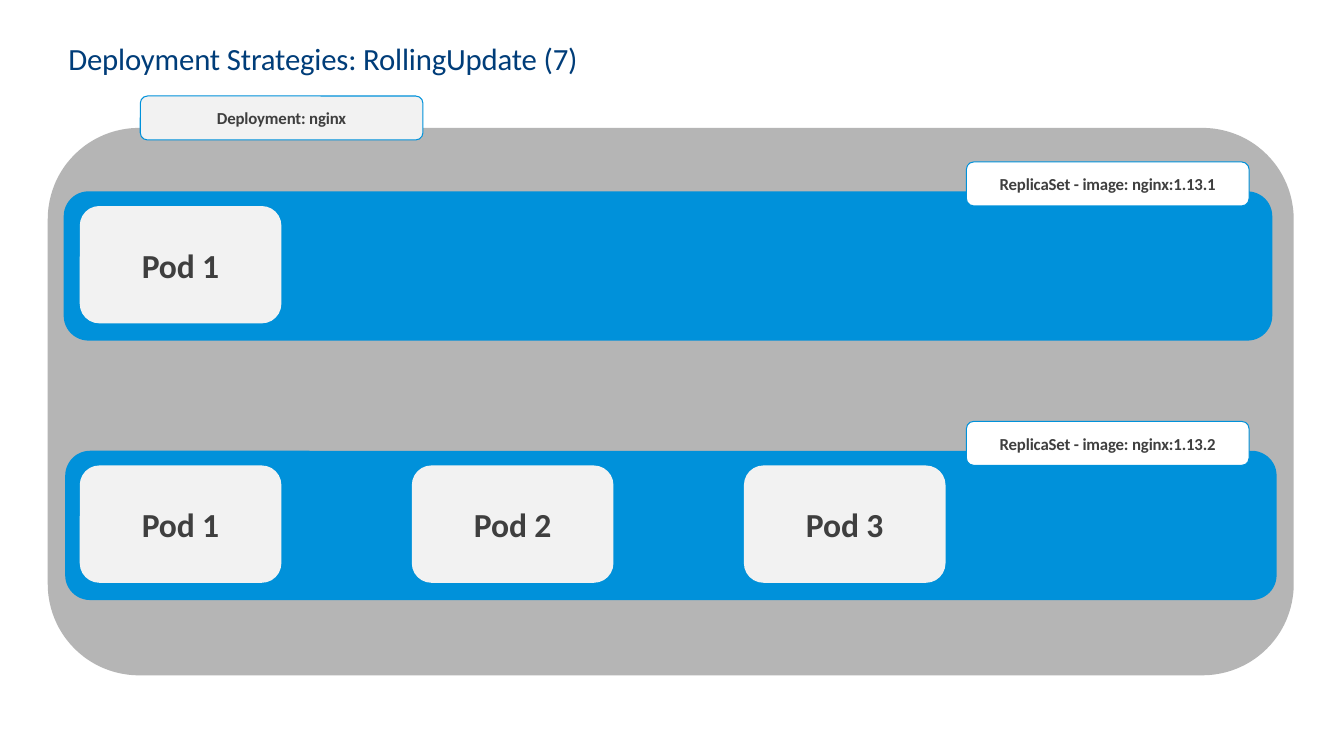
import pptx
import pptx.dml.color
import pptx.enum.shapes
import pptx.enum.text
import pptx.util
from dataclasses import dataclass

Pt = pptx.util.Pt
RGB = pptx.dml.color.RGBColor.from_string


@dataclass(frozen=True)
class Theme:
    font: str = "Calibri"
    navy: str = "003D79"
    blue: str = "0091DA"
    grey: str = "B5B5B5"
    light: str = "F2F2F2"
    white: str = "FFFFFF"
    ink: str = "3F3F3F"
    title_size: float = 22
    pod_size: float = 24
    badge_size: float = 12
    border: float = 0.75


class Deck:
    def __init__(self, prs, theme):
        self.theme = theme
        self.s = prs.slides.add_slide(prs.slide_layouts[5])

    def set_text(self, sp, text, size, color, align, bold=False):
        tf = sp.text_frame
        tf.text = text
        tf.word_wrap = True
        tf.auto_size = pptx.enum.text.MSO_AUTO_SIZE.NONE
        tf.vertical_anchor = pptx.enum.text.MSO_ANCHOR.MIDDLE
        tf.margin_left = tf.margin_top = tf.margin_right = tf.margin_bottom = 0
        p = tf.paragraphs[0]
        p.alignment = align
        r = p.runs[0]
        r.font.name, r.font.size, r.font.bold = self.theme.font, Pt(size), bold
        r.font.color.rgb = RGB(color)
        r._r.get_or_add_rPr().set("spc", "-10")  # slightly tightened letters

    def title(self, text, x, y, w, h):
        sp = self.s.shapes.title
        sp.left, sp.top, sp.width, sp.height = Pt(x), Pt(y), Pt(w), Pt(h)
        self.set_text(sp, text, self.theme.title_size, self.theme.navy,
                      pptx.enum.text.PP_ALIGN.LEFT)

    def panel(self, x, y, w, h, fill, line=None):
        sp = self.s.shapes.add_shape(
            pptx.enum.shapes.MSO_SHAPE.ROUNDED_RECTANGLE, Pt(x), Pt(y), Pt(w), Pt(h))
        sp.shadow.inherit = False
        sp.fill.solid()
        sp.fill.fore_color.rgb = RGB(fill)
        if line:
            sp.line.color.rgb = RGB(line)
            sp.line.width = Pt(self.theme.border)
        else:
            sp.line.fill.background()
        return sp

    def badge(self, text, x, y, fill):
        sp = self.panel(x, y, 201.9, 31.4, fill, self.theme.blue)
        self.set_text(sp, text, self.theme.badge_size, self.theme.ink,
                      pptx.enum.text.PP_ALIGN.CENTER, bold=True)

    def pod(self, number, x, y):
        sp = self.panel(x, y, 144, 83.8, self.theme.light)
        self.set_text(sp, f"Pod {number}", self.theme.pod_size, self.theme.ink,
                      pptx.enum.text.PP_ALIGN.CENTER, bold=True)

    def replica_set(self, version, x, y, w, pod_count):
        self.panel(x, y, w, 106.6, self.theme.blue)
        self.badge(f"ReplicaSet - image: nginx:{version}", 690.3, y - 21, self.theme.white)
        for i in range(pod_count):
            self.pod(i + 1, 57 + 237.2 * i, y + 10.5)


def main():
    prs = pptx.Presentation()
    prs.slide_width, prs.slide_height = Pt(960), Pt(540)
    theme = Theme()
    deck = Deck(prs, theme)

    # Title
    deck.title("Deployment Strategies: RollingUpdate (7)", 48.8, 28, 864, 27.4)

    # Deployment frame
    deck.panel(34.1, 91.4, 890, 391, theme.grey)
    deck.badge("Deployment: nginx", 100.2, 68.6, theme.light)

    # Old and new replica sets
    deck.replica_set("1.13.1", 45.5, 136.7, 863.3, pod_count=1)
    deck.replica_set("1.13.2", 46.6, 322, 865.3, pod_count=3)

    prs.save("out.pptx")


if __name__ == "__main__":
    main()
